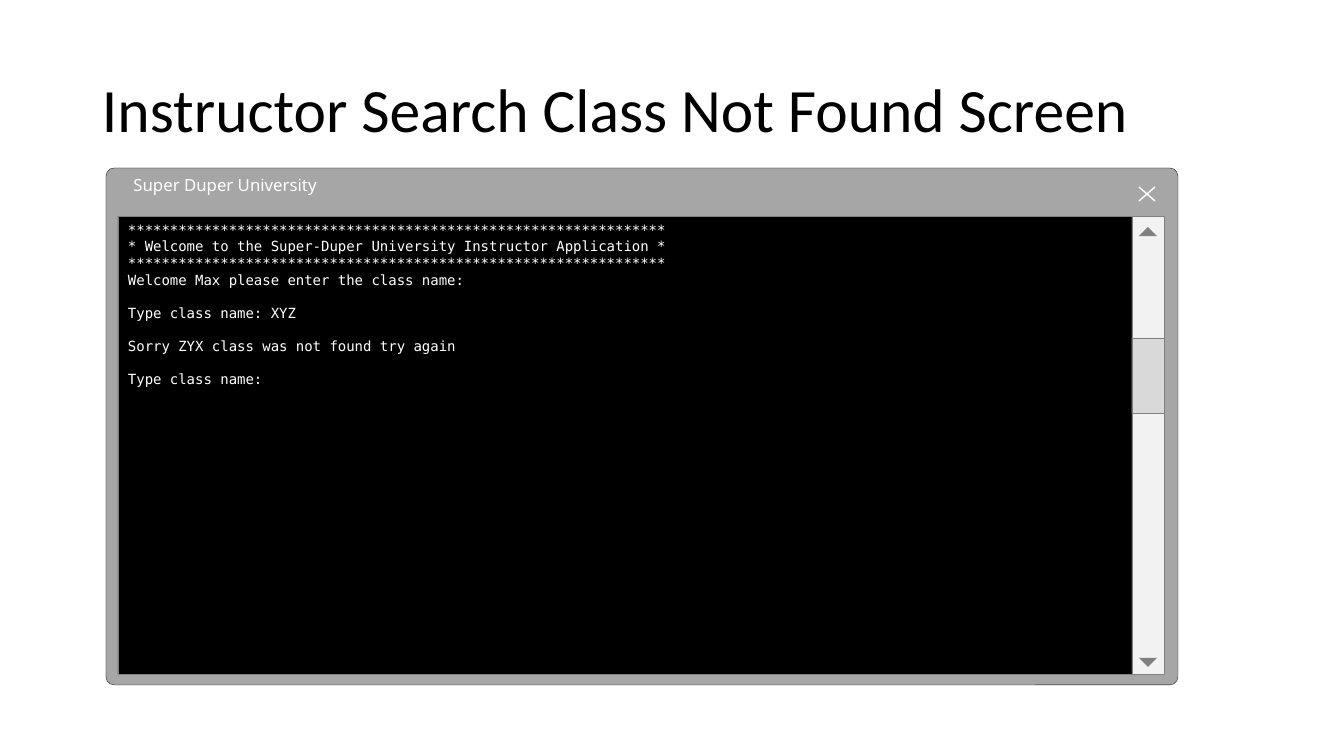
import pptx
import pptx.util
import pptx.dml.color
import pptx.enum.shapes
import pptx.enum.text
import pptx.oxml.ns
import lxml.etree

Pt = pptx.util.Pt
Kind = pptx.enum.shapes.MSO_SHAPE
Anchor = pptx.enum.text.MSO_ANCHOR
theme = {
    "ink": "000000", "paper": "FFFFFF", "frame": "A6A6A6", "edge": "0D0D0D",
    "grey": "808080", "track": "F2F2F2", "thumb": "D9D9D9",
    "head": ("Calibri", 44), "label": ("Noto Sans", 12), "code": ("DejaVu Sans Mono", 10),
    "hair": 0.25, "cross": 1, "gap": 11.64,
}


def px(*sizes):
    return [round(size * 914400 / 100.8) for size in sizes]


def color(name):
    return pptx.dml.color.RGBColor.from_string(theme[name])


deck = pptx.Presentation()
deck.slide_width, deck.slide_height = px(1344, 756)
slide = deck.slides.add_slide(deck.slide_layouts[6])
shapes = slide.shapes

title = shapes.add_textbox(*px(92, 40, 1159, 146))

top, tall = 216, 458
bar, wide = 1132, 32
parts = {}
for name, kind, box, fill, line in [
    ("window", Kind.ROUNDED_RECTANGLE, (106, 168, 1072, 517), "frame", "edge"),
    ("console", Kind.RECTANGLE, (118, top, bar - 118, tall), "ink", "grey"),
    ("track", Kind.RECTANGLE, (bar, top, wide, tall), "track", "grey"),
    ("thumb", Kind.RECTANGLE, (bar, 338, wide, 75), "thumb", "grey"),
    ("up", Kind.ISOSCELES_TRIANGLE, (1139, 227, 18, 9), "grey", None),
    ("down", Kind.ISOSCELES_TRIANGLE, (1139, 658, 18, 9), "grey", None),
]:
    part = shapes.add_shape(kind, *px(*box))
    part.shadow.inherit = False
    part.fill.solid()
    part.fill.fore_color.rgb = color(fill)
    if line:
        part.line.color.rgb = color(line)
        part.line.width = Pt(theme["hair"])
    else:
        part.line.fill.background()
    parts[name] = part
parts["window"].adjustments[0] = 0.016
parts["down"].rotation = 180

for start, end in [(187, 201), (201, 187)]:
    cross = shapes.add_connector(
        pptx.enum.shapes.MSO_CONNECTOR.STRAIGHT, *px(1139, start, 1155, end))
    cross.line.color.rgb = color("paper")
    cross.line.width = Pt(theme["cross"])
    lxml.etree.SubElement(cross._element.spPr, pptx.oxml.ns.qn("a:effectLst"))

stars = "*" * 64
lines = [
    stars,
    "* Welcome to the Super-Duper University Instructor Application *",
    stars,
    "Welcome Max please enter the class name:",
    "Type class name: XYZ",
    "Sorry ZYX class was not found try again",
    "Type class name: ",
]
for shape, text, style, ink, anchor, pads in [
    (title, "Instructor Search Class Not Found Screen", "head", "ink", Anchor.MIDDLE, (10, 5)),
    (parts["window"], "Super Duper University", "label", "paper", Anchor.TOP, (25, 4)),
    (parts["console"], "\n".join(lines), "code", "paper", Anchor.TOP, (10, 5)),
]:
    frame = shape.text_frame
    frame.text = text
    frame.word_wrap = True
    frame.vertical_anchor = anchor
    frame.margin_left, frame.margin_top = px(*pads)
    frame.margin_right, frame.margin_bottom = px(10, 5)
    face, size = theme[style]
    for para in frame.paragraphs:
        para.alignment = pptx.enum.text.PP_ALIGN.LEFT
        for run in para.runs:
            run.font.name = face
            run.font.size = Pt(size)
            run.font.color.rgb = color(ink)

title.text_frame.paragraphs[0].line_spacing = 0.9
for para in parts["console"].text_frame.paragraphs[4:]:
    para.space_before = Pt(theme["gap"])

deck.save("out.pptx")
